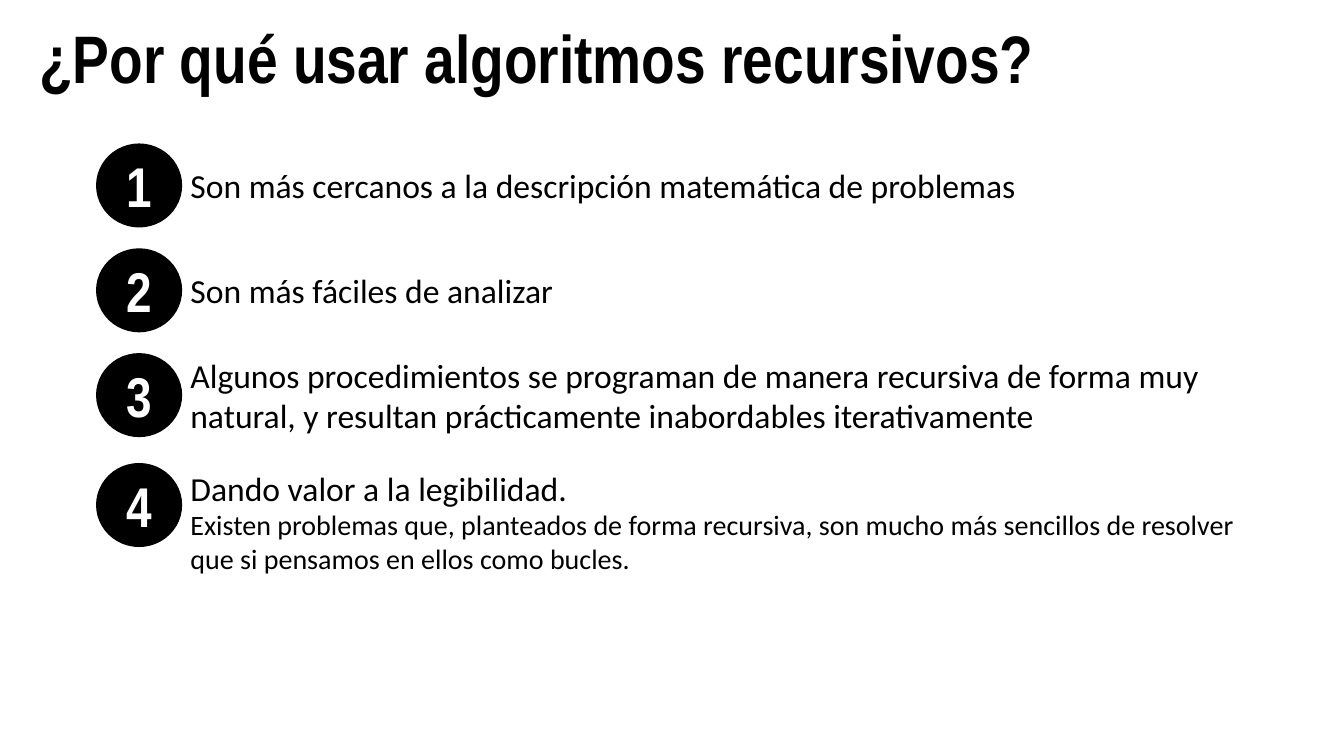
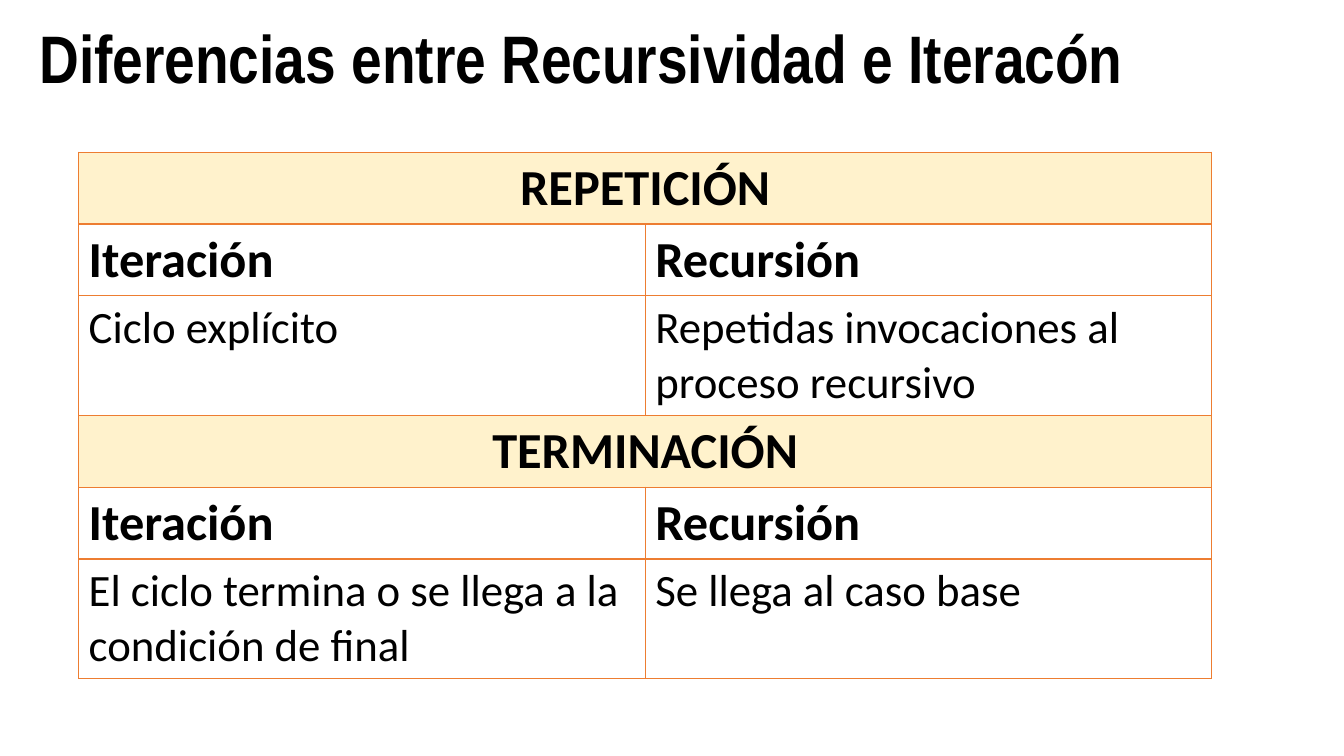
from lxml.etree import SubElement
from pptx import Presentation
from pptx.dml.color import RGBColor
from pptx.enum.shapes import MSO_SHAPE
from pptx.enum.text import MSO_ANCHOR, MSO_AUTO_SIZE, PP_ALIGN
from pptx.oxml.ns import qn
from pptx.util import Inches, Pt

BLACK = RGBColor(0x00, 0x00, 0x00)
WHITE = RGBColor(0xFF, 0xFF, 0xFF)
CREAM = RGBColor(0xFF, 0xF2, 0xCC)
ORANGE = RGBColor(0xED, 0x7D, 0x31)

TITLE_FONT = dict(name="Arial Narrow", size=Pt(48), bold=True)
NUMBER_FONT = dict(name="Arial Narrow", size=Pt(40), bold=True)
REASON_FONT = dict(name="Calibri", size=Pt(24))
DETAIL_FONT = dict(name="Calibri", size=Pt(20))
HEADING_FONT = dict(name="Calibri", size=Pt(36), bold=True)
CELL_FONT = dict(name="Calibri", size=Pt(32), bold=False)

TITLE_ONLY = 5
CIRCLE_LEFT, CIRCLE_WIDTH, CIRCLE_HEIGHT = 0.96, 0.84, 0.82
REASON_LEFT = 1.79

# Circle top, text top, text width, text height, paragraphs
REASONS = [
    (1.43, 1.59, 11, 0.5,
     ["Son más cercanos a la descripción matemática de problemas"]),
    (2.47, 2.63, 11, 0.5,
     ["Son más fáciles de analizar"]),
    (3.51, 3.47, 11, 0.91,
     ["Algunos procedimientos se programan de manera recursiva de forma muy "
      "natural, y resultan prácticamente inabordables iterativamente"]),
    (4.6, 4.59, 10.74, 1.18,
     ["Dando valor a la legibilidad.",
      "Existen problemas que, planteados de forma recursiva, son mucho más "
      "sencillos de resolver que si pensamos en ellos como bucles."]),
]

# Section heading, iteration, recursion
COMPARISONS = [
    ("REPETICIÓN", "Ciclo explícito",
     "Repetidas invocaciones al proceso recursivo"),
    ("TERMINACIÓN", "El ciclo termina o se llega a la condición de final",
     "Se llega al caso base"),
]
SECTION_ROW_HEIGHTS = [0.7, 0.7, 1.16]
COLUMN_WIDTH = 5.62


def box(left, top, width, height):
    return [Inches(value) for value in (left, top, width, height)]


def write(paragraph, text, font_format, color=BLACK, alignment=PP_ALIGN.LEFT):
    paragraph.text = text
    paragraph.alignment = alignment
    for name, value in font_format.items():
        setattr(paragraph.font, name, value)
    paragraph.font.color.rgb = color


def add_titled_slide(presentation, text):
    slide = presentation.slides.add_slide(
        presentation.slide_layouts[TITLE_ONLY])
    title = slide.shapes.title
    title.left, title.top, title.width, title.height = box(
        0.29, 0.11, 12.24, 1.25)
    frame = title.text_frame
    frame.auto_size = MSO_AUTO_SIZE.NONE
    frame.vertical_anchor = MSO_ANCHOR.TOP
    write(frame.paragraphs[0], text, TITLE_FONT)
    return slide


def add_number(slide, number, top):
    circle = slide.shapes.add_shape(
        MSO_SHAPE.FLOWCHART_CONNECTOR,
        *box(CIRCLE_LEFT, top, CIRCLE_WIDTH, CIRCLE_HEIGHT))
    circle.shadow.inherit = False
    circle.fill.solid()
    circle.fill.fore_color.rgb = BLACK
    circle.line.color.rgb = BLACK
    circle.line.width = Pt(1)
    frame = circle.text_frame
    frame.vertical_anchor = MSO_ANCHOR.MIDDLE
    write(frame.paragraphs[0], str(number), NUMBER_FONT, WHITE,
          PP_ALIGN.CENTER)


def add_reason(slide, top, width, height, texts):
    """Add a reason, whose second paragraph is a smaller detail."""
    frame = slide.shapes.add_textbox(
        *box(REASON_LEFT, top, width, height)).text_frame
    frame.word_wrap = True
    for index, text in enumerate(texts):
        paragraph = frame.add_paragraph() if index else frame.paragraphs[0]
        write(paragraph, text, DETAIL_FONT if index else REASON_FONT)


def add_borders(cell):
    properties = cell._tc.get_or_add_tcPr()
    for side in ("a:lnL", "a:lnR", "a:lnT", "a:lnB"):
        line = SubElement(properties, qn(side), w=str(Pt(1)))
        fill = SubElement(line, qn("a:solidFill"))
        SubElement(fill, qn("a:srgbClr"), val=str(ORANGE))


def add_comparison_table(slide):
    heights = SECTION_ROW_HEIGHTS * len(COMPARISONS)
    table = slide.shapes.add_table(
        len(heights), 2,
        *box(0.78, 1.51, 2 * COLUMN_WIDTH, sum(heights))).table
    table.first_row = False
    table.horz_banding = False
    for row, height in zip(table.rows, heights):
        row.height = Inches(height)
    for cell in table.iter_cells():
        add_borders(cell)
        cell.fill.background()

    for section, (heading, *contents) in enumerate(COMPARISONS):
        first_row = section * len(SECTION_ROW_HEIGHTS)
        header = table.cell(first_row, 0)
        header.merge(table.cell(first_row, 1))
        header.fill.solid()
        header.fill.fore_color.rgb = CREAM
        write(header.text_frame.paragraphs[0], heading, HEADING_FONT,
              alignment=PP_ALIGN.CENTER)
        rows = [(("Iteración", "Recursión"), HEADING_FONT),
                (contents, CELL_FONT)]
        for row, (texts, font_format) in enumerate(rows, first_row + 1):
            for column, text in enumerate(texts):
                frame = table.cell(row, column).text_frame
                write(frame.paragraphs[0], text, font_format)


def main():
    presentation = Presentation()
    presentation.slide_width = Inches(13.33)
    presentation.slide_height = Inches(7.5)

    slide = add_titled_slide(presentation,
                             "¿Por qué usar algoritmos recursivos?")
    for number, (circle_top, *reason) in enumerate(REASONS, 1):
        add_number(slide, number, circle_top)
        add_reason(slide, *reason)

    slide = add_titled_slide(presentation,
                             "Diferencias entre Recursividad e Iteracón")
    add_comparison_table(slide)

    presentation.save("out.pptx")


if __name__ == "__main__":
    main()
